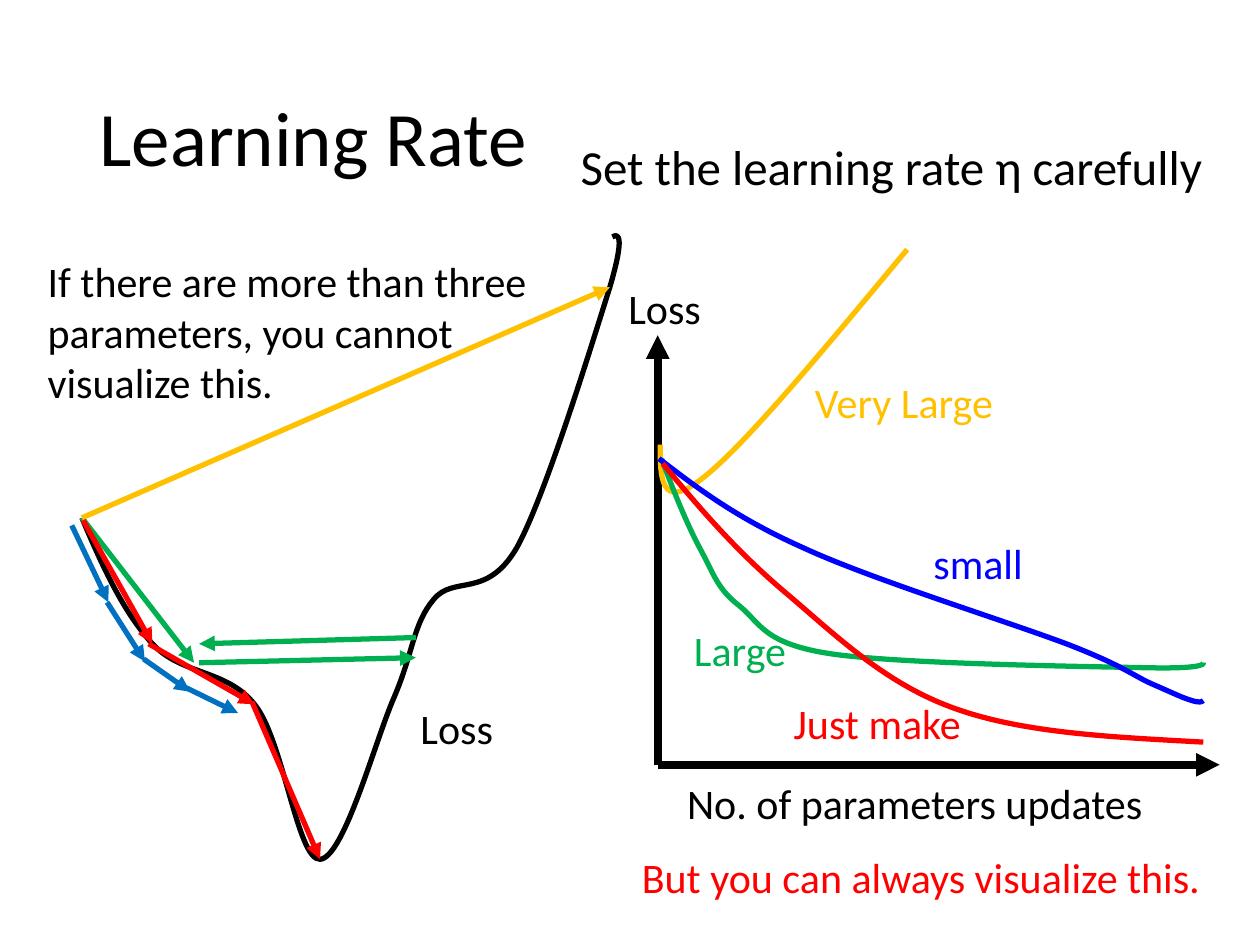
from lxml import etree
from pptx import Presentation
from pptx.dml.color import RGBColor
from pptx.enum.shapes import MSO_CONNECTOR
from pptx.enum.text import MSO_ANCHOR, PP_ALIGN
from pptx.oxml.ns import qn
from pptx.util import Inches, Pt

LEFT, CENTER = PP_ALIGN.LEFT, PP_ALIGN.CENTER
MIDDLE, TOP = MSO_ANCHOR.MIDDLE, MSO_ANCHOR.TOP
STRAIGHT = MSO_CONNECTOR.STRAIGHT
BLACK, RED, GREEN, GOLD, BLUE, STEEL = (
    "000000", "FF0000", "00B050", "FFC000", "0000FF", "0070C0")

TITLE = ("Learning Rate", (0.69, 0.4, 8.62, 1.45))
ADVICE = ("Set the learning rate η carefully", (4.51, 1.09, 5.62, 0.77))

LABELS = [
    ("No. of parameters updates", (5.03, 6.12, 4.46, 0.5), BLACK, CENTER),
    ("Loss", (4.65, 2.19, 1.25, 0.5), BLACK, CENTER),
    ("Loss", (3, 5.53, 1.25, 0.5), BLACK, CENTER),
    ("Very Large", (6.37, 2.94, 2.4, 0.5), GOLD, LEFT),
    ("Large", (5.41, 4.91, 0.96, 0.5), GREEN, LEFT),
    ("small", (7.31, 4.22, 0.96, 0.5), BLUE, LEFT),
    ("Just make", (6.2, 5.49, 1.59, 0.5), RED, LEFT),
    ("If there are more than three parameters, you cannot visualize this.",
     (0.28, 1.98, 4.43, 1.31), BLACK, LEFT),
    ("But you can always visualize this.", (4.71, 6.71, 5.2, 0.5), RED, CENTER),
]

LOSS_SURFACE = [
    (0.65, 4.11),
    (0.81, 4.49), (0.98, 4.86), (1.21, 5.11),
    (1.44, 5.36), (1.8, 5.31), (2.02, 5.59),
    (2.25, 5.87), (2.36, 6.83), (2.54, 6.82),
    (2.73, 6.81), (2.98, 5.87), (3.13, 5.53),
    (3.28, 5.18), (3.28, 4.95), (3.44, 4.76),
    (3.6, 4.56), (3.86, 4.76), (4.1, 4.35),
    (4.33, 3.94), (4.71, 2.69), (4.84, 2.28),
    (4.96, 1.87), (4.91, 1.85), (4.86, 1.88),
]
VERY_LARGE_RATE = [
    (5.24, 3.53),
    (5.24, 3.79), (5.24, 4.06), (5.57, 3.8),
    (5.9, 3.55), (6.55, 2.76), (7.2, 1.98),
]
LARGE_RATE = [
    (5.25, 3.64),
    (5.35, 3.91), (5.46, 4.18), (5.57, 4.38),
    (5.67, 4.57), (5.7, 4.68), (5.87, 4.81),
    (6.04, 4.95), (6.06, 5.11), (6.6, 5.19),
    (7.15, 5.27), (8.62, 5.29), (9.11, 5.3),
    (9.6, 5.31), (9.55, 5.26), (9.55, 5.26),
]
SMALL_RATE = [
    (5.23, 3.64),
    (5.53, 3.87), (5.84, 4.11), (6.38, 4.35),
    (6.92, 4.6), (8.02, 4.94), (8.49, 5.12),
    (8.95, 5.3), (9, 5.37), (9.17, 5.44),
    (9.33, 5.51), (9.39, 5.54), (9.46, 5.56),
    (9.52, 5.58), (9.54, 5.57), (9.55, 5.56),
]
GOOD_RATE = [
    (5.26, 3.68),
    (5.55, 4.03), (5.84, 4.37), (6.23, 4.7),
    (6.61, 5.02), (7.01, 5.42), (7.57, 5.62),
    (8.12, 5.82), (8.83, 5.85), (9.55, 5.89),
]
CURVES = [(LOSS_SURFACE, BLACK), (VERY_LARGE_RATE, GOLD), (LARGE_RATE, GREEN),
          (SMALL_RATE, BLUE), (GOOD_RATE, RED)]

ORIGIN = (5.22, 6.07)
AXES = [(ORIGIN, (9.68, 6.07)), (ORIGIN, (5.22, 2.66))]
DESCENT_STEPS = {
    GREEN: [((0.65, 4.11), (1.54, 5.26)), ((3.3, 5.06), (1.58, 5.11)),
            ((1.58, 5.26), (3.3, 5.22))],
    GOLD: [((0.65, 4.11), (4.84, 2.28))],
    RED: [((0.66, 4.13), (1.21, 5.11)), ((1.18, 5.11), (2.02, 5.59)),
          ((2, 5.57), (2.54, 6.82))],
    STEEL: [((0.57, 4.17), (0.86, 4.78)), ((0.85, 4.78), (1.15, 5.25)),
            ((1.14, 5.23), (1.51, 5.49)), ((1.46, 5.45), (1.89, 5.66))],
}


def color(value):
    return RGBColor.from_string(value)


def set_all(target, formats):
    for name, value in formats.items():
        setattr(target, name, value)


def write(holder, text, box, size, hue=BLACK, align=LEFT, anchor=TOP, spacing=1.0):
    set_all(holder, dict(zip(("left", "top", "width", "height"), map(Inches, box))))
    frame = holder.text_frame
    set_all(frame, {"text": text, "word_wrap": True, "vertical_anchor": anchor})
    paragraph = frame.paragraphs[0]
    set_all(paragraph, {"alignment": align, "line_spacing": spacing})
    set_all(paragraph.runs[0].font, {"size": Pt(size), "name": "Calibri"})
    paragraph.runs[0].font.color.rgb = color(hue)


def paint_line(line, hue, width):
    line.color.rgb = color(hue)
    line.width = Pt(width)


def add_arrow(slide, start, end, hue, width):
    arrow = slide.shapes.add_connector(STRAIGHT, *map(Inches, start + end))
    paint_line(arrow.line, hue, width)
    properties = arrow._element.spPr
    etree.SubElement(properties.find(qn("a:ln")), qn("a:tailEnd"), type="triangle")
    etree.SubElement(properties, qn("a:effectLst"))


def add_curve(slide, points, hue):
    start, *controls = [(Inches(x), Inches(y)) for x, y in points]
    builder = slide.shapes.build_freeform(*start)
    builder.add_line_segments(controls, close=False)
    curve = builder.convert_to_shape()
    curve.shadow.inherit = False
    curve.fill.background()
    paint_line(curve.line, hue, 3)
    segments = list(curve._element.iter(qn("a:lnTo")))
    for first in range(0, len(segments), 3):
        bezier = etree.Element(qn("a:cubicBezTo"))
        segments[first].addprevious(bezier)
        for segment in segments[first:first + 3]:
            bezier.append(segment[0])
            segment.getparent().remove(segment)


def main():
    deck = Presentation()
    set_all(deck, {"slide_width": Inches(10), "slide_height": Inches(7.5)})
    slide = deck.slides.add_slide(deck.slide_layouts[5])
    write(slide.shapes.title, *TITLE, 44, anchor=MIDDLE, spacing=0.9)
    for start, end in AXES:
        add_arrow(slide, start, end, BLACK, 4.5)
    for points, hue in CURVES:
        add_curve(slide, points, hue)
    for hue, steps in DESCENT_STEPS.items():
        for start, end in steps:
            add_arrow(slide, start, end, hue, 3)
    for text, box, hue, align in LABELS:
        write(slide.shapes.add_textbox(0, 0, 0, 0), text, box, 24, hue, align)
    write(slide.shapes.add_textbox(0, 0, 0, 0), *ADVICE, 28, spacing=0.9)
    deck.save("out.pptx")


if __name__ == "__main__":
    main()
